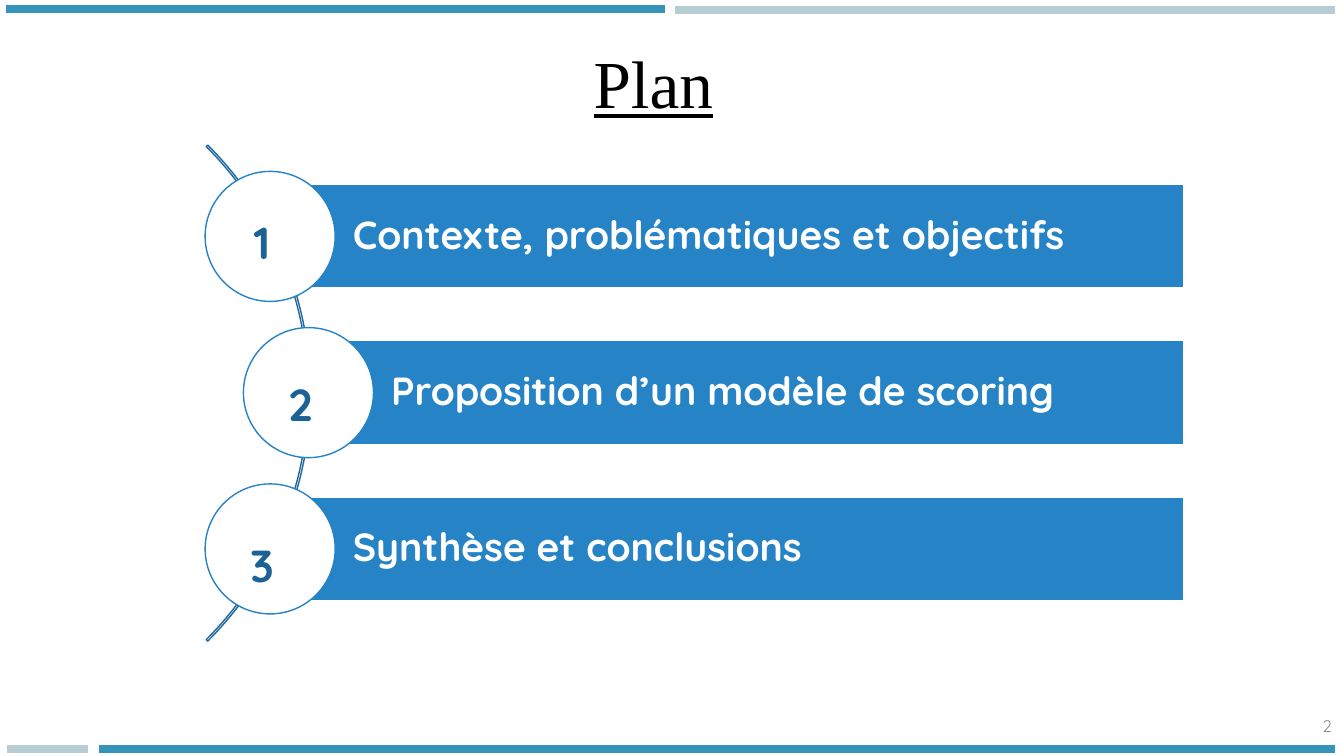
from lxml import etree
from pptx import Presentation, util as u
from pptx.dml.color import RGBColor
from pptx.enum import shapes as sh, text as t
from pptx.oxml.ns import qn

TEAL = RGBColor(0x34, 0x94, 0xBA)
PALE = RGBColor(0xB5, 0xCD, 0xD3)
BLUE = RGBColor(0x26, 0x83, 0xC6)
NAVY = RGBColor(0x1E, 0x69, 0x9F)
DEEP = RGBColor(0x1D, 0x62, 0x94)
GREY = RGBColor(0x8C, 0x8C, 0x8C)
WHITE = RGBColor(255, 255, 255)
BLACK = RGBColor(0, 0, 0)
SANS, SERIF = "Quicksand", "Times New Roman"

deck = Presentation()
deck.slide_width, deck.slide_height = u.Inches(13.33), u.Inches(7.5)
slide = deck.slides.add_slide(deck.slide_layouts[6])
items = slide.shapes


# Places are percent shares of the slide's width and height
def area(x, y, w, h):
    col, row = deck.slide_width / 100, deck.slide_height / 100
    return [int(n) for n in (x * col, y * row, w * col, h * row)]


def write(shape, words, size, font, color, align):
    frame = shape.text_frame
    frame.word_wrap = True
    frame.vertical_anchor = t.MSO_ANCHOR.MIDDLE
    para = frame.paragraphs[0]
    para.alignment = align
    run = para.add_run()
    run.text = words
    run.font.size, run.font.name = u.Pt(size), font
    run.font.color.rgb = color
    return para, run


# Title
title = items.add_textbox(*area(3.53, 4, 90.17, 13.6))
para, run = write(title, "Plan", 48, SERIF, BLACK, t.PP_ALIGN.CENTER)
run.font.underline = True

# Edge rules
for x, end, y, color in [(0.45, 49.5, 1.2, TEAL), (50.26, 99.3, 1.33, PALE),
                         (7.35, 99.3, 99.07, TEAL), (0.5, 6.53, 99.07, PALE)]:
    left, top, right, low = area(x, y, end, y)
    rule = items.add_connector(sh.MSO_CONNECTOR.STRAIGHT, left, top, right, low)
    rule.line.color.rgb, rule.line.width = color, u.Pt(6)
    etree.SubElement(rule._element.spPr, qn("a:effectLst"))

# Arc behind the steps
arc = items.add_shape(sh.MSO_SHAPE.BLOCK_ARC, *area(-29.1, 5.6, 52.2, 92.8))
arc.adjustments[0], arc.adjustments[1], arc.adjustments[2] = 189, 27, 0.003
arc.shadow.inherit = False
arc.fill.background()
arc.line.color.rgb, arc.line.width = NAVY, u.Pt(1)

# Steps: bar, disc centred on its left edge, number
EDGE, STEP, TALL = 88.07, 20.67, 13.73
DISC_W, DISC_H = 9.68, 17.2
steps = [(20.1, "Contexte, problématiques et objectifs"),
         (22.95, "Proposition d’un modèle de scoring"),
         (20.1, "Synthèse et conclusions")]
for i, (x, words) in enumerate(steps):
    y = 24.4 + i * STEP
    bar = items.add_shape(sh.MSO_SHAPE.RECTANGLE, *area(x, y, EDGE - x, TALL))
    disc = items.add_shape(sh.MSO_SHAPE.OVAL, *area(
        x - DISC_W / 2, y + (TALL - DISC_H) / 2, DISC_W, DISC_H))
    for shape, fill, line in [(bar, BLUE, WHITE), (disc, WHITE, BLUE)]:
        shape.shadow.inherit = False
        shape.fill.solid()
        shape.fill.fore_color.rgb = fill
        shape.line.color.rgb, shape.line.width = line, u.Pt(1)
    para, run = write(bar, words, 28, SANS, WHITE, t.PP_ALIGN.LEFT)
    bar.text_frame.margin_left = u.Inches(0.82)
    para.line_spacing = 0.9
    run.font.bold = True
    mark = items.add_textbox(*area(x - 0.6 - DISC_W / 2, 27 + i * 21.33, DISC_W, 10))
    para, run = write(mark, str(i + 1), 32, SANS, DEEP, t.PP_ALIGN.CENTER)
    run.font.bold = True

# Page number
page = items.add_textbox(*area(77.34, 93.33, 22.5, 5.33))
write(page, "2", 12, SANS, GREY, t.PP_ALIGN.RIGHT)

deck.save("out.pptx")
